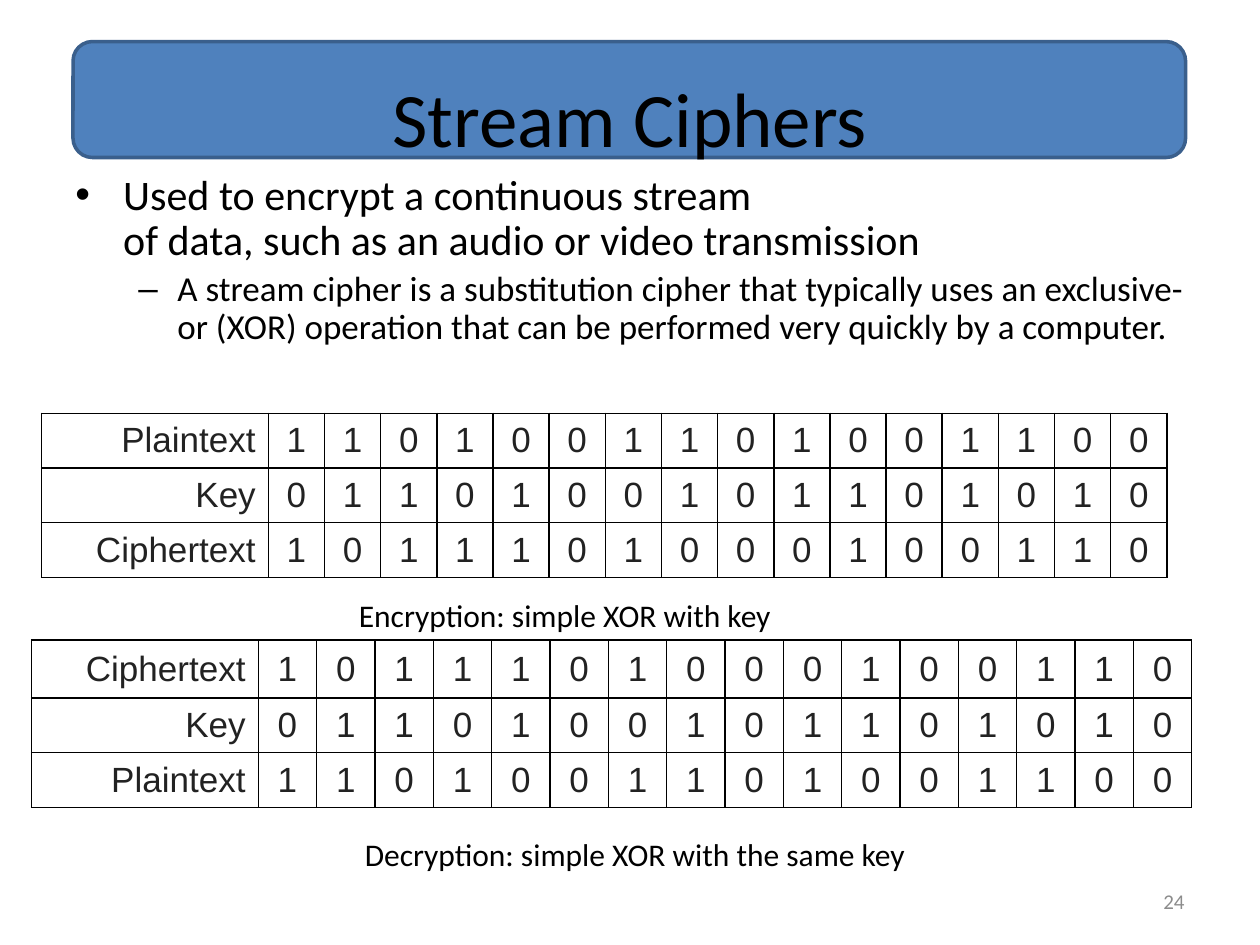
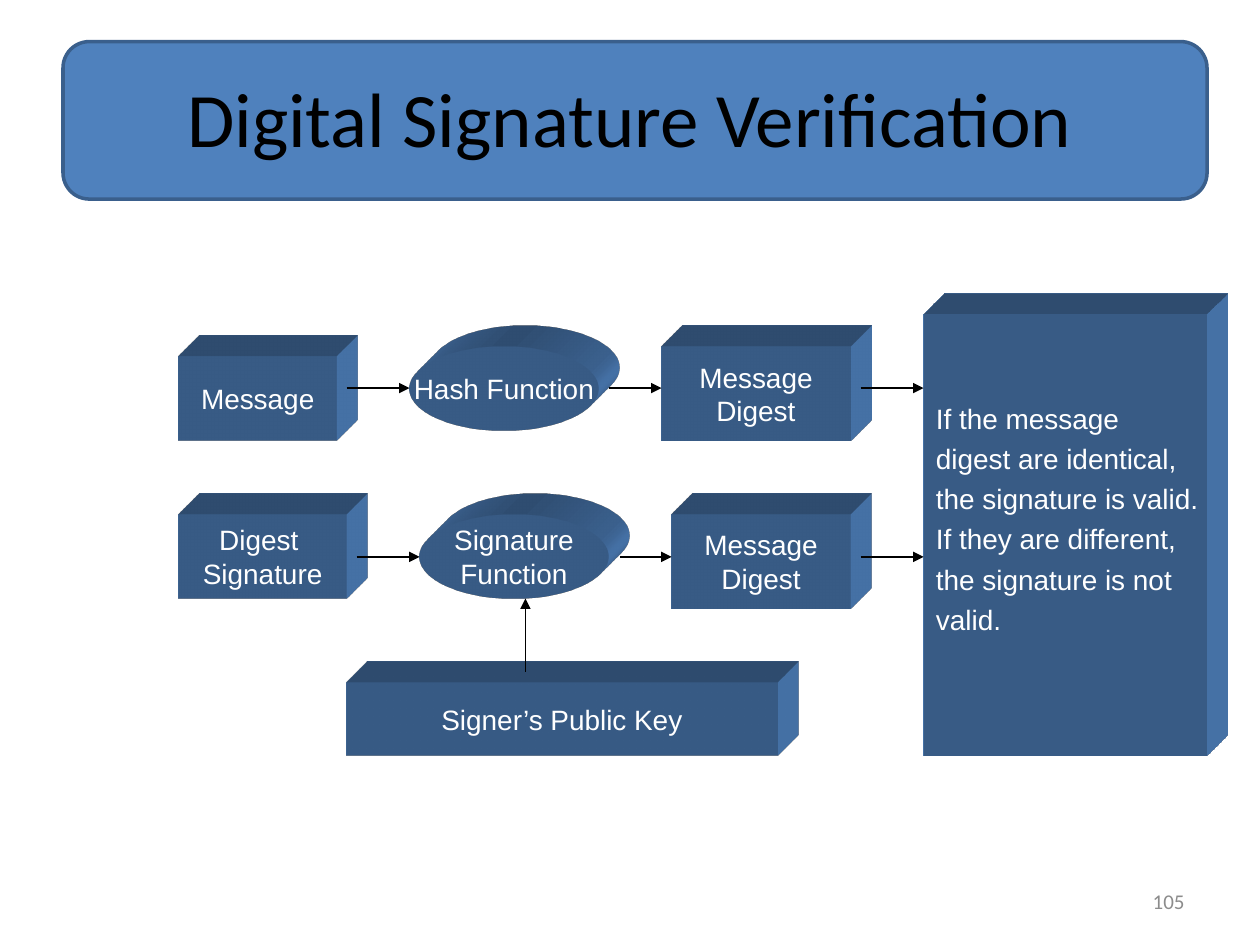
from dataclasses import dataclass
from typing import NamedTuple

from lxml.etree import SubElement
from pptx import Presentation
from pptx.dml.color import RGBColor
from pptx.enum.shapes import MSO_CONNECTOR as Connector, MSO_SHAPE as Shape
from pptx.enum.text import MSO_ANCHOR as Anchor, PP_ALIGN as Align
from pptx.oxml import parse_xml
from pptx.oxml.ns import nsdecls, qn
from pptx.util import Inches, Pt


@dataclass(frozen=True)
class Theme:
    blue: str = "4F81BD"
    outline: str = "3A5F8C"
    black: str = "000000"
    white: str = "FFFFFF"
    cell_text: str = "222222"
    grey: str = "8C8C8C"
    body_font: str = "Calibri"
    diagram_font: str = "Arial"
    title_size: int = 44
    bullet_size: int = 24
    table_size: int = 20
    caption_size: int = 18
    diagram_size: int = 16
    number_size: int = 12


THEME = Theme()


class Box(NamedTuple):
    left: float
    top: float
    width: float
    height: float

    def lengths(self) -> list:
        return [Inches(value) for value in self]


class Bullet(NamedTuple):
    text: str
    mark: str
    size: int
    left: float
    hanging: float
    space_before: float


class Block(NamedTuple):
    """A solid block of the diagram."""
    kind: Shape
    box: Box
    lines: tuple[str, ...]


class Arrow(NamedTuple):
    start: tuple[float, float]
    end: tuple[float, float]


class BitTable(NamedTuple):
    left: float
    top: float
    bit_width: float
    row_heights: tuple[float, ...]
    rows: tuple[tuple[str, str], ...]


def write(frame, lines, *, size, font=THEME.body_font, color=THEME.black, align=Align.LEFT,
          anchor=Anchor.TOP, wrap=True, line_spacing=None) -> None:
    """Fill a text frame, one paragraph for each line."""
    frame.word_wrap = wrap
    frame.vertical_anchor = anchor
    for index, line in enumerate(lines):
        paragraph = frame.paragraphs[0] if index == 0 else frame.add_paragraph()
        paragraph.text = line
        paragraph.alignment = align
        if line_spacing:
            paragraph.line_spacing = line_spacing
        for run in paragraph.runs:
            run.font.size = Pt(size)
            run.font.name = font
            run.font.color.rgb = RGBColor.from_string(color)


def add_text(slide, box: Box, *lines: str, **text_format):
    frame = slide.shapes.add_textbox(*box.lengths()).text_frame
    write(frame, lines, **text_format)
    return frame


def add_filled_shape(slide, kind: Shape, box: Box):
    shape = slide.shapes.add_shape(kind, *box.lengths())
    shape.shadow.inherit = False
    shape.fill.solid()
    shape.fill.fore_color.rgb = RGBColor.from_string(THEME.blue)
    return shape


def start_slide(presentation, title: str, number: int, band_box: Box):
    """Add a blank slide with its title band, title and number."""
    slide = presentation.slides.add_slide(presentation.slide_layouts[6])
    band = add_filled_shape(slide, Shape.ROUNDED_RECTANGLE, band_box)
    band.line.color.rgb = RGBColor.from_string(THEME.outline)
    band.line.width = Pt(2)
    add_text(slide, Box(0.5, 0.3, 9, 1.25), title, size=THEME.title_size,
             align=Align.CENTER, anchor=Anchor.MIDDLE)
    add_text(slide, Box(7.17, 6.95, 2.33, 0.4), str(number), size=THEME.number_size,
             color=THEME.grey, align=Align.RIGHT, anchor=Anchor.MIDDLE)
    return slide


def add_bullets(slide, box: Box, bullets: tuple[Bullet, ...]) -> None:
    frame = add_text(slide, box, *(bullet.text for bullet in bullets),
                     size=THEME.bullet_size, line_spacing=0.9)
    for paragraph, bullet in zip(frame.paragraphs, bullets):
        paragraph.space_before = Pt(bullet.space_before)
        properties = paragraph._p.get_or_add_pPr()
        properties.set("marL", str(Inches(bullet.left)))
        properties.set("indent", str(-Inches(bullet.hanging)))
        SubElement(properties, qn("a:buFont"), typeface=THEME.diagram_font)
        SubElement(properties, qn("a:buChar"), char=bullet.mark)
        for run in paragraph.runs:
            run.font.size = Pt(bullet.size)


def set_borders(cell) -> None:
    properties = cell._tc.get_or_add_tcPr()
    for index, side in enumerate("LRTB"):
        properties.insert(index, parse_xml(
            f'<a:ln{side} {nsdecls("a")} w="{Pt(1)}"><a:solidFill>'
            f'<a:srgbClr val="{THEME.black}"/></a:solidFill></a:ln{side}>'))


def add_bit_table(slide, spec: BitTable) -> None:
    widths = [1.8] + [spec.bit_width] * len(spec.rows[0][1])
    box = Box(spec.left, spec.top, sum(widths), sum(spec.row_heights))
    table = slide.shapes.add_table(len(spec.rows), len(widths), *box.lengths()).table
    table.first_row = table.horz_banding = False
    for column, width in zip(table.columns, widths):
        column.width = Inches(width)
    for row, height, (label, bits) in zip(table.rows, spec.row_heights, spec.rows):
        row.height = Inches(height)
        for index, (cell, text) in enumerate(zip(row.cells, (label, *bits))):
            write(cell.text_frame, [text], size=THEME.table_size, font=THEME.diagram_font,
                  color=THEME.cell_text, align=Align.CENTER if index else Align.RIGHT)
            cell.vertical_anchor = Anchor.MIDDLE
            cell.fill.background()
            set_borders(cell)


def add_block(slide, block: Block, **text_format):
    shape = add_filled_shape(slide, block.kind, block.box)
    shape.line.fill.background()
    properties = shape.element.spPr
    properties.append(parse_xml(
        f'<a:scene3d {nsdecls("a")}><a:camera prst="legacyObliqueTopRight"/>'
        '<a:lightRig rig="legacyFlat3" dir="b"/></a:scene3d>'))
    properties.append(parse_xml(
        f'<a:sp3d {nsdecls("a")} extrusionH="430200" prstMaterial="legacyMatte">'
        f'<a:extrusionClr><a:srgbClr val="{THEME.blue}"/></a:extrusionClr></a:sp3d>'))
    write(shape.text_frame, block.lines, size=THEME.diagram_size, font=THEME.diagram_font,
          color=THEME.white, anchor=Anchor.MIDDLE, wrap=False, **text_format)
    return shape


def add_arrow(slide, arrow: Arrow) -> None:
    points = [Inches(value) for value in (*arrow.start, *arrow.end)]
    connector = slide.shapes.add_connector(Connector.STRAIGHT, *points)
    connector.line.color.rgb = RGBColor.from_string(THEME.black)
    connector.line.width = Pt(0.75)
    properties = connector.element.spPr
    SubElement(properties.find(qn("a:ln")), qn("a:tailEnd"), type="triangle")
    SubElement(properties, qn("a:effectLst"))


PLAINTEXT = ("Plaintext", "1101001101001100")
KEY = ("Key", "0110100101101010")
CIPHERTEXT = ("Ciphertext", "".join(
    str(int(bit != key_bit)) for bit, key_bit in zip(PLAINTEXT[1], KEY[1])))

BULLETS = (
    Bullet("Used to encrypt a continuous stream \vof data, such as an audio or video transmission",
           "•", THEME.bullet_size, 0.38, 0.38, 0),
    Bullet("A stream cipher is a substitution cipher that typically uses an exclusive-or (XOR) "
           "operation that can be performed very quickly by a computer.",
           "–", 20, 0.81, 0.31, 4),
)
BIT_TABLES = (
    BitTable(0.33, 3.28, 0.446, (0.41, 0.41, 0.41), (PLAINTEXT, KEY, CIPHERTEXT)),
    BitTable(0.25, 5.08, 0.463, (0.46, 0.41, 0.41), (CIPHERTEXT, KEY, PLAINTEXT)),
)

BLOCKS = (
    Block(Shape.RECTANGLE, Box(1.42, 2.83, 1.25, 0.67), ("Message",)),
    Block(Shape.OVAL, Box(3.25, 2.75, 1.5, 0.67), ("Hash Function",)),
    Block(Shape.RECTANGLE, Box(5.25, 2.75, 1.5, 0.75), ("Message", "Digest")),
    Block(Shape.RECTANGLE, Box(1.42, 4.08, 1.33, 0.67), ("Digest ", "Signature")),
    Block(Shape.OVAL, Box(3.33, 4.08, 1.5, 0.67), ("Signature", "Function")),
    Block(Shape.RECTANGLE, Box(5.33, 4.08, 1.42, 0.75), ("Message", "Digest")),
    Block(Shape.RECTANGLE, Box(2.75, 5.42, 3.42, 0.58), ("Signer’s Public Key",)),
)
VERDICT = Block(Shape.RECTANGLE, Box(7.33, 2.5, 2.25, 3.5), (
    "If the message", "digest are identical,", "the signature is valid.",
    "If they are different,", "the signature is not", "valid."))
ARROW_ROWS = {
    3.08: ((2.75, 3.25), (4.83, 5.25), (6.83, 7.33)),
    4.42: ((2.83, 3.33), (4.92, 5.33), (6.83, 7.33)),
}
KEY_ARROW = Arrow((4.17, 5.33), (4.17, 4.75))


def build_stream_ciphers(presentation) -> None:
    slide = start_slide(presentation, "Stream Ciphers", 24, Box(0.58, 0.33, 8.83, 0.92))
    add_bullets(slide, Box(0.5, 1.33, 9, 1.83), BULLETS)
    for table in BIT_TABLES:
        add_bit_table(slide, table)
    add_text(slide, Box(2.75, 4.68, 5.43, 0.4), "Encryption: simple XOR with key",
             size=THEME.caption_size)
    add_text(slide, Box(2.08, 6.58, 5.92, 0.42), "Decryption: simple XOR with the same key",
             size=THEME.caption_size, align=Align.CENTER)


def build_signature_verification(presentation) -> None:
    slide = start_slide(presentation, "Digital Signature Verification", 105,
                        Box(0.5, 0.33, 9.08, 1.25))
    for block in BLOCKS:
        add_block(slide, block, align=Align.CENTER)
    verdict = add_block(slide, VERDICT, line_spacing=1.2)
    verdict.text_frame.margin_bottom = Inches(0.37)
    for y, spans in ARROW_ROWS.items():
        for start, end in spans:
            add_arrow(slide, Arrow((start, y), (end, y)))
    add_arrow(slide, KEY_ARROW)


def main() -> None:
    presentation = Presentation()
    presentation.slide_width = Inches(10)
    presentation.slide_height = Inches(7.5)
    build_stream_ciphers(presentation)
    build_signature_verification(presentation)
    presentation.save("out.pptx")


if __name__ == "__main__":
    main()
